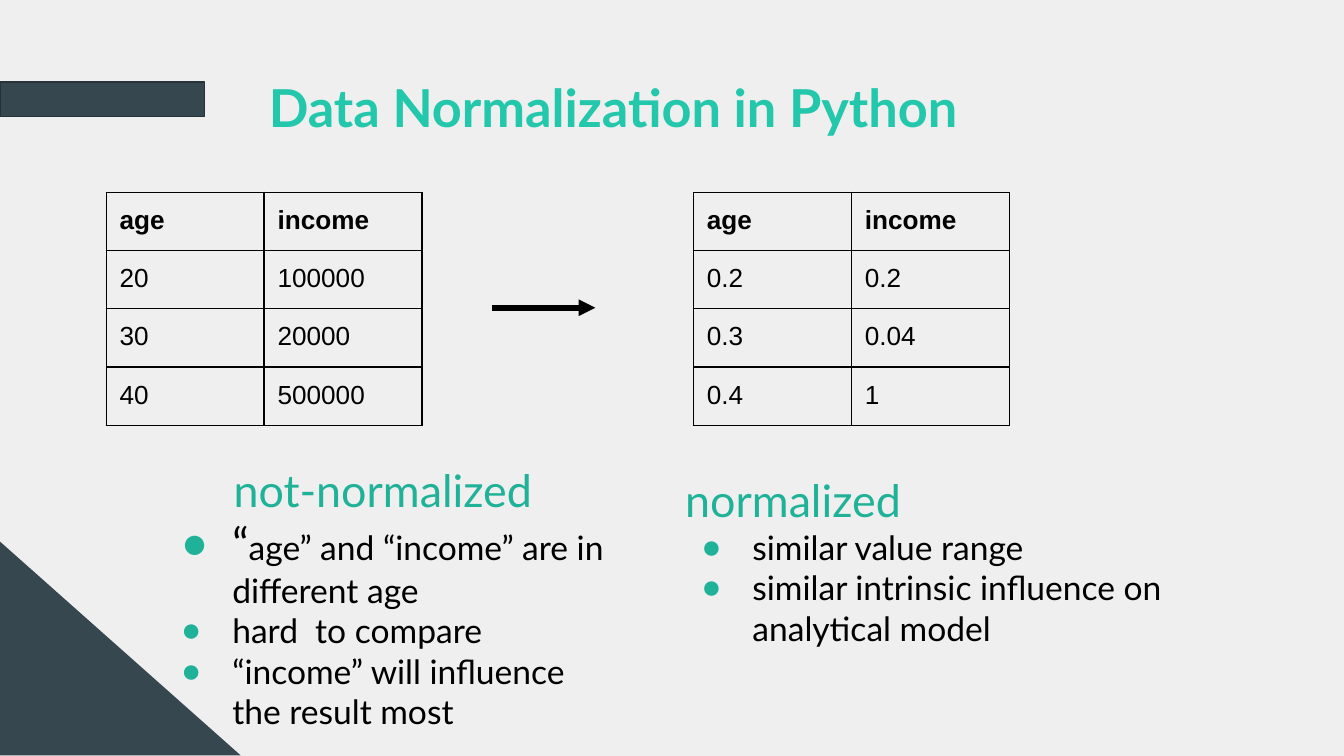
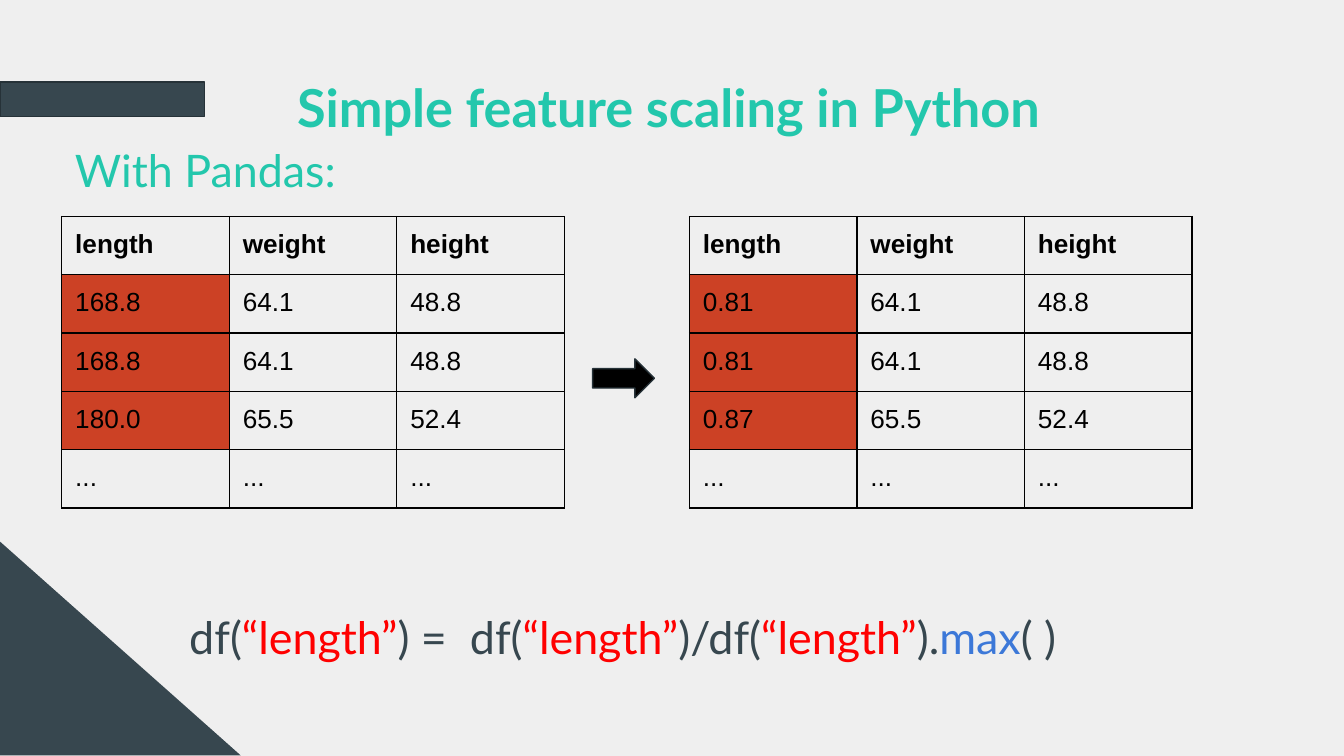
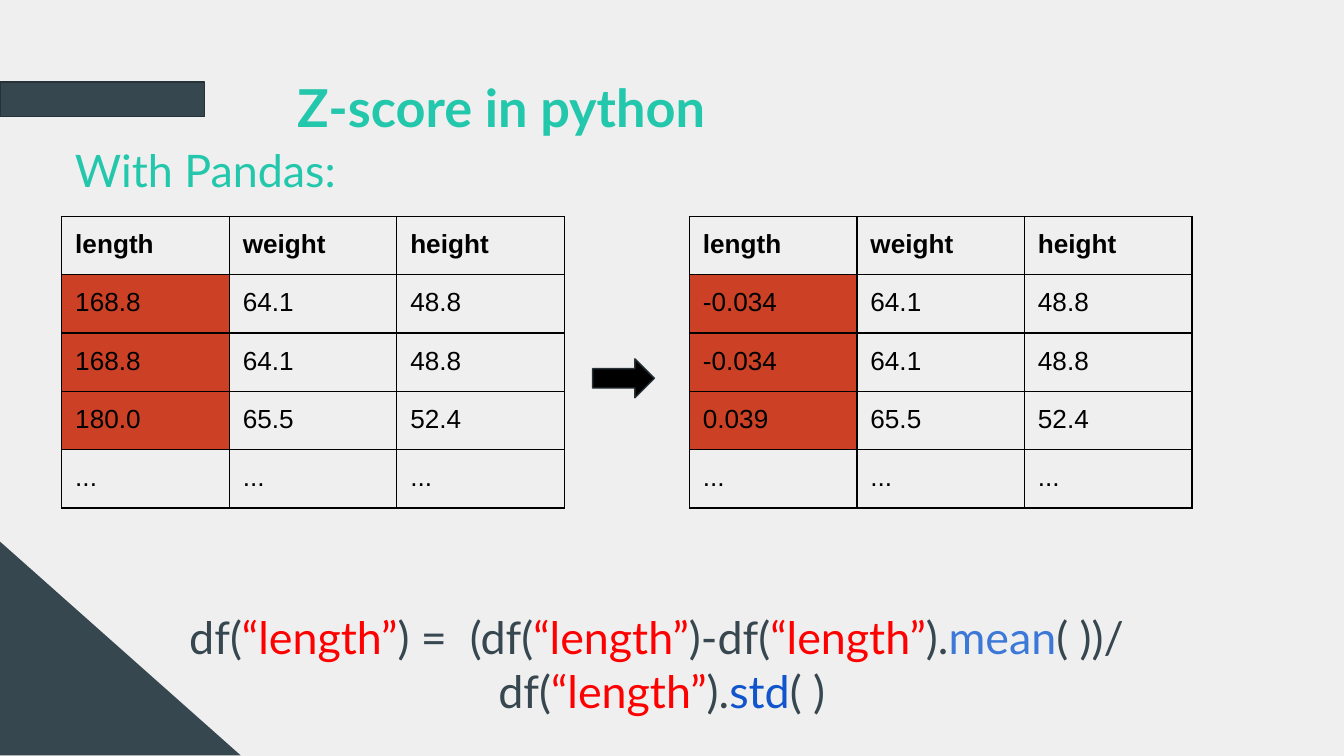
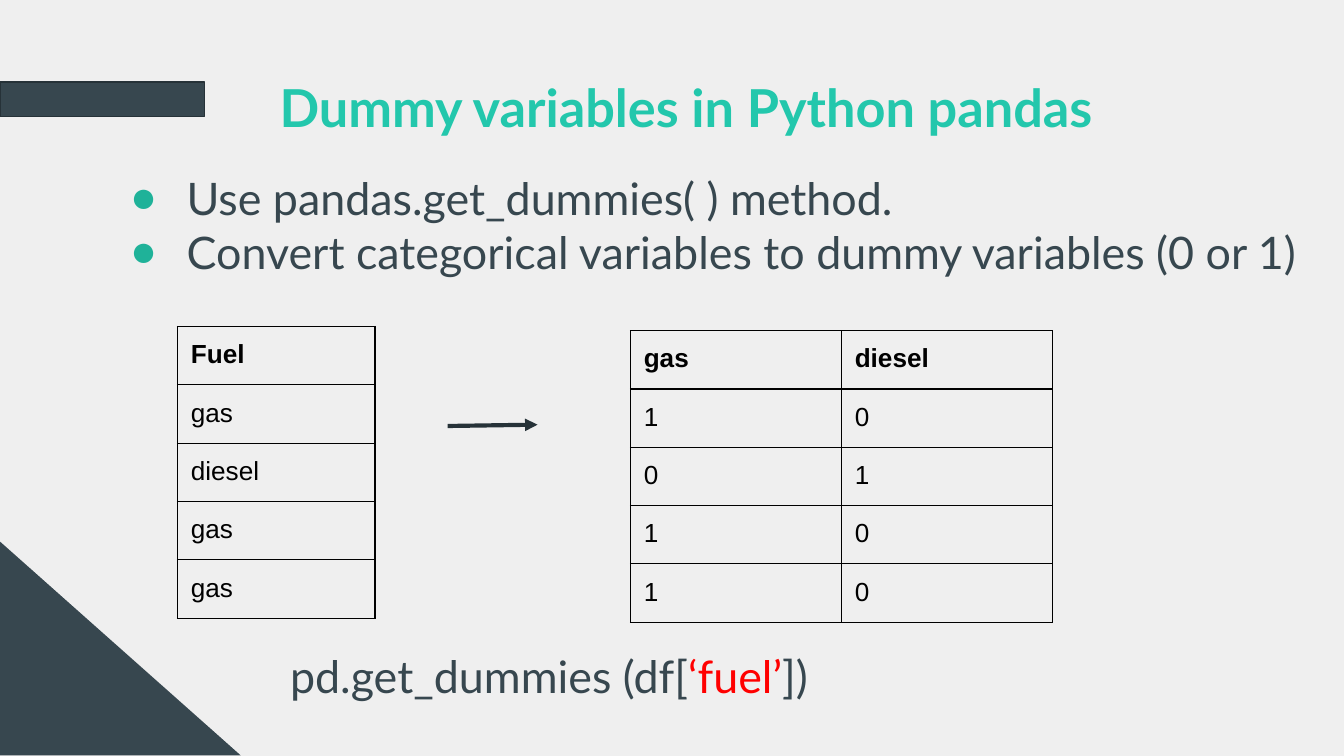
from lxml import etree
from pptx import Presentation
from pptx.dml.color import RGBColor
from pptx.enum.shapes import MSO_CONNECTOR, MSO_SHAPE
from pptx.enum.text import MSO_ANCHOR, MSO_AUTO_SIZE, PP_ALIGN
from pptx.oxml.ns import qn
from pptx.util import Inches, Pt

BACKGROUND = RGBColor(0xEF, 0xEF, 0xEF)
SLATE = RGBColor(0x37, 0x47, 0x4F)
DARK_SLATE = RGBColor(0x26, 0x32, 0x38)
TEAL = RGBColor(0x23, 0xC7, 0xAC)
DEEP_TEAL = RGBColor(0x1F, 0xB2, 0x99)
BLACK = RGBColor(0x00, 0x00, 0x00)
RED = RGBColor(0xFF, 0x00, 0x00)
BLUE = RGBColor(0x3C, 0x78, 0xD8)
DEEP_BLUE = RGBColor(0x11, 0x55, 0xCC)
HIGHLIGHT = RGBColor(0xCC, 0x41, 0x25)

TEXT_FONT = "Lato"
TABLE_FONT = "Arial"
TABLE_SIZE = 14
INSET = Inches(0.1)

LENGTH = ("“length”", RED)
MEASURES = ["length", "weight", "height"]
OTHER_MEASURES = [["64.1", "48.8"], ["64.1", "48.8"], ["65.5", "52.4"]]
RAW_LENGTHS = ["168.8", "168.8", "180.0"]


def set_font(font, size, colour, name=TEXT_FONT, bold=False):
    font.name = name
    font.size = Pt(size)
    font.bold = bold
    font.color.rgb = colour


def set_insets(target):
    """Give a text frame or a table cell the common margins."""
    target.margin_left = target.margin_right = INSET
    target.margin_top = target.margin_bottom = INSET


def set_indent(paragraph, left, first_line=0.0):
    properties = paragraph._p.get_or_add_pPr()
    properties.set("marL", str(Inches(left)))
    properties.set("indent", str(Inches(first_line)))
    return properties


def add_bullet(paragraph, hanging):
    properties = set_indent(paragraph, 0.5, -hanging)
    colour = etree.SubElement(properties, qn("a:buClr"))
    etree.SubElement(colour, qn("a:srgbClr"), val=str(DEEP_TEAL))
    etree.SubElement(properties, qn("a:buFont"), typeface=TABLE_FONT)
    etree.SubElement(properties, qn("a:buChar"), char="●")


def add_shape(shapes, kind, left, top, width, height, fill, line=None):
    shape = shapes.add_shape(
        kind, Inches(left), Inches(top), Inches(width), Inches(height))
    shape.shadow.inherit = False
    shape.fill.solid()
    shape.fill.fore_color.rgb = fill
    if line is None:
        shape.line.fill.background()
    else:
        shape.line.color.rgb = line
        shape.line.width = Pt(0.75)
    return shape


def decorate_layout(layout, slide):
    """Put background, band and corner on the layout, by way of a slide."""
    layout.background.fill.solid()
    layout.background.fill.fore_color.rgb = BACKGROUND
    band = add_shape(slide.shapes, MSO_SHAPE.RECTANGLE,
                     0, 0.61, 1.52, 0.26, SLATE, DARK_SLATE)
    corner = add_shape(slide.shapes, MSO_SHAPE.RIGHT_TRIANGLE,
                       0, 4.03, 1.79, 1.59, SLATE)
    for shape in (band, corner):
        layout.element.cSld.spTree.append(shape.element)


def add_title(slide, text, indent, width=7.94):
    title = slide.shapes.title
    title.left, title.top = Inches(1.04), Inches(0.39)
    title.width, title.height = Inches(width), Inches(0.55)
    frame = title.text_frame
    frame.auto_size = MSO_AUTO_SIZE.NONE
    frame.vertical_anchor = MSO_ANCHOR.TOP
    set_insets(frame)
    frame.text = text
    paragraph = frame.paragraphs[0]
    paragraph.alignment = PP_ALIGN.LEFT
    paragraph.line_spacing = 1.15
    set_indent(paragraph, indent)
    set_font(paragraph.font, 28, TEAL, bold=True)


def add_text_box(slide, left, top, width, height=0.63):
    box = slide.shapes.add_textbox(
        Inches(left), Inches(top), Inches(width), Inches(height))
    frame = box.text_frame
    frame.word_wrap = True
    set_insets(frame)
    return frame


def add_paragraph(frame, text, size, colour, indent=0, hanging=None):
    """Fill the first paragraph or append one; hanging makes it a bullet."""
    first = frame.paragraphs[0]
    paragraph = frame.add_paragraph() if first.runs else first
    if hanging is None:
        set_indent(paragraph, indent)
    else:
        add_bullet(paragraph, hanging)
    set_font(paragraph.font, size, colour)
    if text:
        paragraph.add_run().text = text
    return paragraph


def add_code(frame, parts, indent=0):
    """Write a line of code; a part is plain text or (text, colour)."""
    paragraph = add_paragraph(frame, "", 24, SLATE, indent)
    for part in parts:
        run = paragraph.add_run()
        if isinstance(part, str):
            run.text = part
        else:
            run.text, run.font.color.rgb = part


def add_cell_borders(cell):
    properties = cell._tc.get_or_add_tcPr()
    for index, side in enumerate(("a:lnL", "a:lnR", "a:lnT", "a:lnB")):
        line = etree.Element(qn(side), w=str(Pt(0.75)))
        fill = etree.SubElement(line, qn("a:solidFill"))
        etree.SubElement(fill, qn("a:srgbClr"), val=str(BLACK))
        properties.insert(index, line)


def fill_cell(cell, text, bold, highlighted):
    set_insets(cell)
    cell.text = text
    paragraph = cell.text_frame.paragraphs[0]
    set_font(paragraph.runs[0].font, TABLE_SIZE, BLACK, TABLE_FONT, bold)
    # The end mark would otherwise stretch the row with the theme font.
    end_mark = etree.SubElement(paragraph._p, qn("a:endParaRPr"),
                                sz=str(TABLE_SIZE * 100))
    etree.SubElement(end_mark, qn("a:latin"), typeface=TABLE_FONT)
    if highlighted:
        cell.fill.solid()
        cell.fill.fore_color.rgb = HIGHLIGHT
    else:
        cell.fill.background()
    add_cell_borders(cell)


def add_table(slide, left, top, width, rows, row_heights=None,
              highlighted=()):
    """Add a grid with a bold first row; highlighted holds (row, column)."""
    row_heights = row_heights or [0.42] * len(rows)
    column_count = len(rows[0])
    table = slide.shapes.add_table(
        len(rows), column_count, Inches(left), Inches(top),
        Inches(width), Inches(sum(row_heights))).table
    table.first_row = table.horz_banding = False
    for row_index, values in enumerate(rows):
        table.rows[row_index].height = Inches(row_heights[row_index])
        for column_index, value in enumerate(values):
            fill_cell(table.cell(row_index, column_index), value,
                      bold=row_index == 0,
                      highlighted=(row_index, column_index) in highlighted)


def add_arrow(slide, start, end, colour, width):
    connector = slide.shapes.add_connector(
        MSO_CONNECTOR.STRAIGHT, *map(Inches, start + end))
    connector.line.color.rgb = colour
    connector.line.width = Pt(width)
    etree.SubElement(connector.line._get_or_add_ln(), qn("a:tailEnd"),
                     type="triangle")
    etree.SubElement(connector.element.spPr, qn("a:effectLst"))


def add_measure_table(slide, left, lengths):
    rows = [[length, *others]
            for length, others in zip(lengths, OTHER_MEASURES)]
    add_table(slide, left, 1.61, 3.74, [MEASURES, *rows, ["..."] * 3],
              row_heights=[0.43] * 4 + [0.42],
              highlighted=[(row, 0) for row in (1, 2, 3)])


def build_normalization(slide):
    add_title(slide, "Data Normalization in Python", 0.86, width=8.96)

    normalized = add_text_box(slide, 5, 3.42, 4.38, 0.86)
    add_paragraph(normalized, "normalized", 24, DEEP_TEAL)
    for text in ("similar value range",
                 "similar intrinsic influence on analytical model"):
        add_paragraph(normalized, text, 18, BLACK, hanging=0.38)

    raw = add_text_box(slide, 1.13, 3.34, 3.49, 0.86)
    add_paragraph(raw, "not-normalized", 24, DEEP_TEAL, indent=0.51)
    quoted = add_paragraph(raw, "“", 24, BLACK, hanging=0.38)
    rest = quoted.add_run()
    rest.text = "age” and “income” are in different age"
    rest.font.size = Pt(18)
    for text in ("hard  to compare", "“income” will influence the result most"):
        add_paragraph(raw, text, 18, BLACK, hanging=0.38)

    add_arrow(slide, (3.66, 2.29), (4.43, 2.29), BLACK, 3)
    header = ["age", "income"]
    add_table(slide, 0.79, 1.43, 2.35, [
        header, ["20", "100000"], ["30", "20000"], ["40", "500000"]])
    add_table(slide, 5.16, 1.43, 2.35, [
        header, ["0.2", "0.2"], ["0.3", "0.04"], ["0.4", "1"]])


def build_scaling(slide, title, scaled_lengths, code_lines):
    """Show lengths before and after scaling; code_lines has (parts, indent)."""
    add_title(slide, title, 1.07)
    add_paragraph(add_text_box(slide, 0.46, 0.96, 3.16),
                  "With Pandas:", 24, TEAL)
    code = add_text_box(slide, 1.31, 4.44, 7.94)
    for parts, indent in code_lines:
        add_code(code, parts, indent)
    add_measure_table(slide, 5.13, scaled_lengths)
    add_measure_table(slide, 0.46, RAW_LENGTHS)
    add_shape(slide.shapes, MSO_SHAPE.RIGHT_ARROW,
              4.41, 2.67, 0.46, 0.29, BLACK, DARK_SLATE)


def build_dummies(slide):
    add_title(slide, "Dummy variables in Python pandas", 0.94)
    method = add_text_box(slide, 0.79, 1.17, 9.21)
    for text in ("Use pandas.get_dummies( ) method.",
                 "Convert categorical variables to dummy variables (0 or 1)"):
        add_paragraph(method, text, 24, SLATE, hanging=0.42)
    add_code(add_text_box(slide, 2.06, 4.73, 7.94),
             ["pd.get_dummies (df[", ("‘fuel’", RED), "])"])

    fuels = ["gas", "diesel", "gas", "gas"]
    kinds = ["gas", "diesel"]
    dummies = [[str(int(fuel == kind)) for kind in kinds] for fuel in fuels]
    add_table(slide, 1.32, 2.43, 1.47, [["Fuel"], *([fuel] for fuel in fuels)])
    add_table(slide, 4.69, 2.46, 3.14, [kinds, *dummies])
    add_arrow(slide, (3.33, 3.17), (4, 3.16), DARK_SLATE, 2.25)


def main():
    presentation = Presentation()
    presentation.slide_width = Inches(10)
    presentation.slide_height = Inches(10) * 9 // 16
    layout = presentation.slide_layouts.get_by_name("Title Only")
    slides = [presentation.slides.add_slide(layout) for _ in range(4)]
    decorate_layout(layout, slides[0])

    build_normalization(slides[0])
    build_scaling(
        slides[1], "Simple feature scaling in Python",
        ["0.81", "0.81", "0.87"],
        [(["df(", LENGTH, ") =  df(", LENGTH, ")/df(", LENGTH, ").",
           ("max", BLUE), "( )"], 0)])
    build_scaling(
        slides[2], "Z-score in python", ["-0.034", "-0.034", "0.039"],
        [(["df(", LENGTH, ") =  (df(", LENGTH, ")-df(", LENGTH, ").",
           ("mean", BLUE), "( ))/"], 0),
         (["df(", LENGTH, ").", ("std", DEEP_BLUE), "( )"], 2.3)])
    build_dummies(slides[3])

    presentation.save("out.pptx")


if __name__ == "__main__":
    main()
